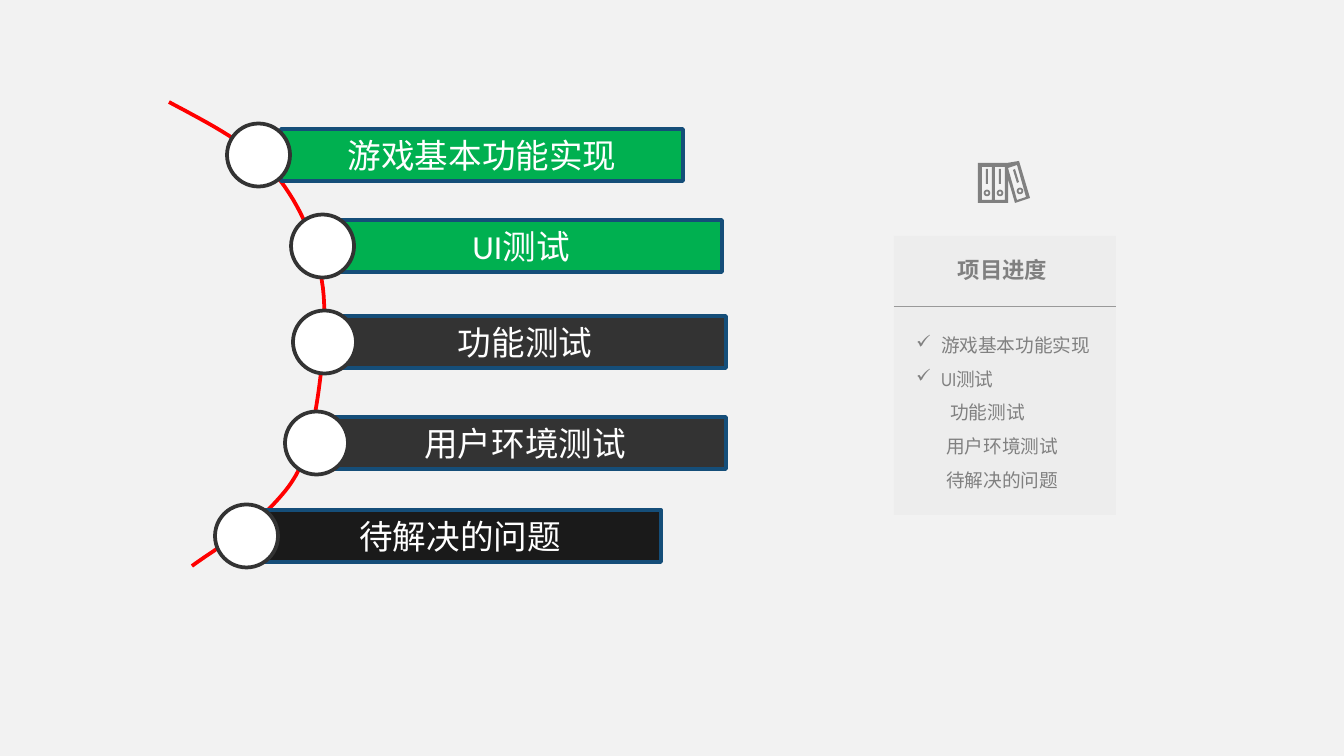
from math import cos, pi, sin
from typing import NamedTuple

from lxml.etree import SubElement
from pptx import Presentation
from pptx.dml.color import RGBColor
from pptx.enum.shapes import MSO_CONNECTOR, MSO_SHAPE as Preset
from pptx.enum.text import MSO_ANCHOR as Anchor, PP_ALIGN as Align
from pptx.oxml.ns import qn
from pptx.util import Pt

PX = 914400 / 134.4
SUBPIXELS = 20  # freeform grid steps per px

BACKGROUND = RGBColor(0xF2, 0xF2, 0xF2)
WHITE = RGBColor(0xFF, 0xFF, 0xFF)
RED = RGBColor(0xFF, 0x00, 0x00)
GREEN = RGBColor(0x00, 0xB0, 0x50)
CHARCOAL = RGBColor(0x33, 0x33, 0x33)
BLACK = RGBColor(0x1A, 0x1A, 0x1A)
NAVY = RGBColor(0x15, 0x4E, 0x79)
GRAY = RGBColor(0x80, 0x80, 0x80)
RULE_GRAY = RGBColor(0x99, 0x99, 0x99)
PANEL_GRAY = RGBColor(0xD9, 0xD9, 0xD9)

BAR_WIDTH, BAR_HEIGHT, KNOB = 402, 52, 63
BAR_FORMAT = {"name": "Calibri", "size": Pt(18)}
HEADING_FORMAT = {"name": "Arial Narrow", "size": Pt(12), "bold": True}
ITEM_FORMAT = {"name": "Arial Narrow", "size": Pt(10)}

Point = tuple[float, float]


class Box(NamedTuple):
    left: float
    top: float
    width: float
    height: float

    def emu(self) -> list[int]:
        return [emu(length) for length in self]


class Stage(NamedTuple):
    label: str
    bar_left: int
    bar_top: int
    knob_left: int
    color: RGBColor
    indent: int
    done: bool = False


STAGES = [
    Stage("游戏基本功能实现", 281, 129, 227, GREEN, 25, True),
    Stage("UI测试", 320, 220, 291, GREEN, 25, True),
    Stage("功能测试", 324, 316, 293, CHARCOAL, 34),
    Stage("用户环境测试", 324, 417, 285, CHARCOAL, 30),
    Stage("待解决的问题", 259, 510, 215, BLACK, 30),
]

# Start point, then two control points and an end point for each bend
ARC = [
    (169, 102), (210, 124), (250, 144), (276, 175),
    (301, 206), (317, 243), (323, 288),
    (328, 331), (319, 401), (310, 438),
    (301, 474), (289, 488), (270, 508),
    (251, 528), (211, 552), (192, 566),
]

BINDERS_OUTLINE = [(978, 163), (1007, 163), (1019, 161), (1030, 198),
                   (1015, 203), (1008, 179), (1008, 203), (978, 203)]
TILTED_SPINE = [(1008, 168), (1017, 165), (1026, 197), (1017, 200)]
TILTED_SLOT = [(1013, 170), (1015, 169), (1019, 182), (1017, 183)]


def emu(px: float) -> int:
    return round(px * PX)


def set_format(target, values: dict) -> None:
    for attribute, value in values.items():
        setattr(target, attribute, value)


def write(paragraph, text: str, font_format: dict, color: RGBColor) -> None:
    run = paragraph.add_run()
    run.text = text
    set_format(run.font, font_format)
    run.font.color.rgb = color


def outline(shape, color: RGBColor, points: float) -> None:
    shape.line.color.rgb = color
    shape.line.width = Pt(points)


def add_block(slide, preset: Preset, box: Box, fill: RGBColor):
    block = slide.shapes.add_shape(preset, *box.emu())
    block.shadow.inherit = False
    block.fill.solid()
    block.fill.fore_color.rgb = fill
    return block


def add_freeform(slide, contours: list[list[Point]], close: bool):
    fine = [[(x * SUBPIXELS, y * SUBPIXELS) for x, y in contour] for contour in contours]
    builder = slide.shapes.build_freeform(*fine[0][0], scale=PX / SUBPIXELS)
    for number, contour in enumerate(fine):
        if number:
            builder.move_to(*contour[0])
        builder.add_line_segments(contour[1:], close=close)
    freeform = builder.convert_to_shape()
    freeform.shadow.inherit = False
    return freeform


def sample_bezier(points: list[Point], steps: int = 16) -> list[Point]:
    """Turn a chain of cubic bends into closely spaced points."""
    sampled = [points[0]]
    for start in range(0, len(points) - 1, 3):
        bend = points[start:start + 4]
        for step in range(1, steps + 1):
            t = step / steps
            weights = ((1 - t) ** 3, 3 * t * (1 - t) ** 2, 3 * t * t * (1 - t), t ** 3)
            sampled.append(tuple(sum(w * point[axis] for w, point in zip(weights, bend))
                                 for axis in (0, 1)))
    return sampled


def rectangle(left: float, top: float, right: float, bottom: float) -> list[Point]:
    return [(left, top), (right, top), (right, bottom), (left, bottom)]


def ring(x: float, y: float) -> list[list[Point]]:
    return [[(x + radius * cos(k * pi / 8), y + radius * sin(k * pi / 8)) for k in range(16)]
            for radius in (3.3, 1.5)]


def add_arc(slide) -> None:
    arc = add_freeform(slide, [sample_bezier(ARC)], close=False)
    arc.fill.background()
    outline(arc, RED, 2)


def add_stage(slide, stage: Stage) -> None:
    bar = add_block(slide, Preset.RECTANGLE,
                    Box(stage.bar_left, stage.bar_top, BAR_WIDTH, BAR_HEIGHT), stage.color)
    outline(bar, NAVY, 2)
    bar.text_frame.vertical_anchor = Anchor.MIDDLE
    label = bar.text_frame.paragraphs[0]
    label.alignment = Align.CENTER
    write(label, stage.label, BAR_FORMAT, WHITE)
    knob_top = stage.bar_top + (BAR_HEIGHT - KNOB) / 2
    knob = add_block(slide, Preset.OVAL, Box(stage.knob_left, knob_top, KNOB, KNOB), WHITE)
    outline(knob, CHARCOAL, 2)


def add_binders(slide) -> None:
    contours = [BINDERS_OUTLINE, TILTED_SPINE, TILTED_SLOT, *ring(1020, 191)]
    for center in (987, 1000):
        contours += [rectangle(center - 5, 167, center + 5, 200),
                     rectangle(center - 1, 169, center + 1, 184), *ring(center, 193)]
    binders = add_freeform(slide, contours, close=True)
    binders.fill.solid()
    binders.fill.fore_color.rgb = GRAY
    binders.line.fill.background()


def add_panel(slide) -> None:
    panel = add_block(slide, Preset.RECTANGLE, Box(894, 236, 222, 279), PANEL_GRAY)
    panel.line.fill.background()
    color = panel.fill._xPr.find(qn("a:solidFill"))[0]
    SubElement(color, qn("a:alpha"), val="20000")
    rule = slide.shapes.add_connector(MSO_CONNECTOR.STRAIGHT,
                                      *[emu(px) for px in (894, 307, 1116, 307)])
    outline(rule, RULE_GRAY, 0.5)
    SubElement(rule._element.spPr, qn("a:effectLst"))


def add_checklist(slide) -> None:
    frame = slide.shapes.add_textbox(*Box(903, 316, 203, 183).emu()).text_frame
    frame.word_wrap = False
    for number, stage in enumerate(STAGES):
        item = frame.add_paragraph() if number else frame.paragraphs[0]
        item.line_spacing = 1.5
        write(item, stage.label, ITEM_FORMAT, GRAY)
        properties = item._p.get_or_add_pPr()
        properties.set("marL", str(emu(stage.indent)))
        if stage.done:
            properties.set("indent", str(-emu(stage.indent)))
            SubElement(properties, qn("a:buChar"), char="✓")


def add_heading(slide) -> None:
    frame = slide.shapes.add_textbox(*Box(919, 250, 167, 40).emu()).text_frame
    frame.word_wrap = True
    frame.paragraphs[0].alignment = Align.CENTER
    write(frame.paragraphs[0], "项目进度", HEADING_FORMAT, GRAY)


deck = Presentation()
set_format(deck, {"slide_width": emu(1344), "slide_height": emu(756)})
progress = deck.slides.add_slide(deck.slide_layouts[6])
progress.background.fill.solid()
progress.background.fill.fore_color.rgb = BACKGROUND
add_arc(progress)
for project_stage in STAGES:
    add_stage(progress, project_stage)
add_panel(progress)
add_binders(progress)
add_checklist(progress)
add_heading(progress)
deck.save("out.pptx")
